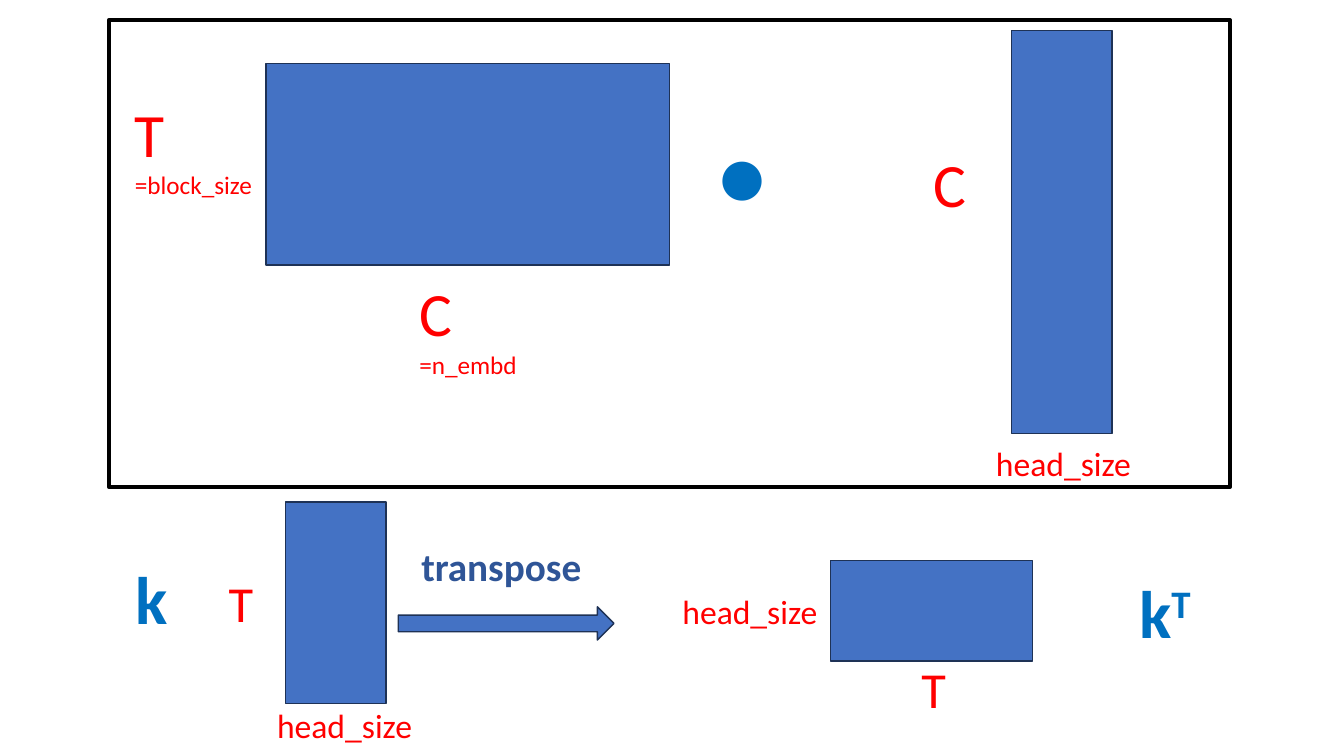
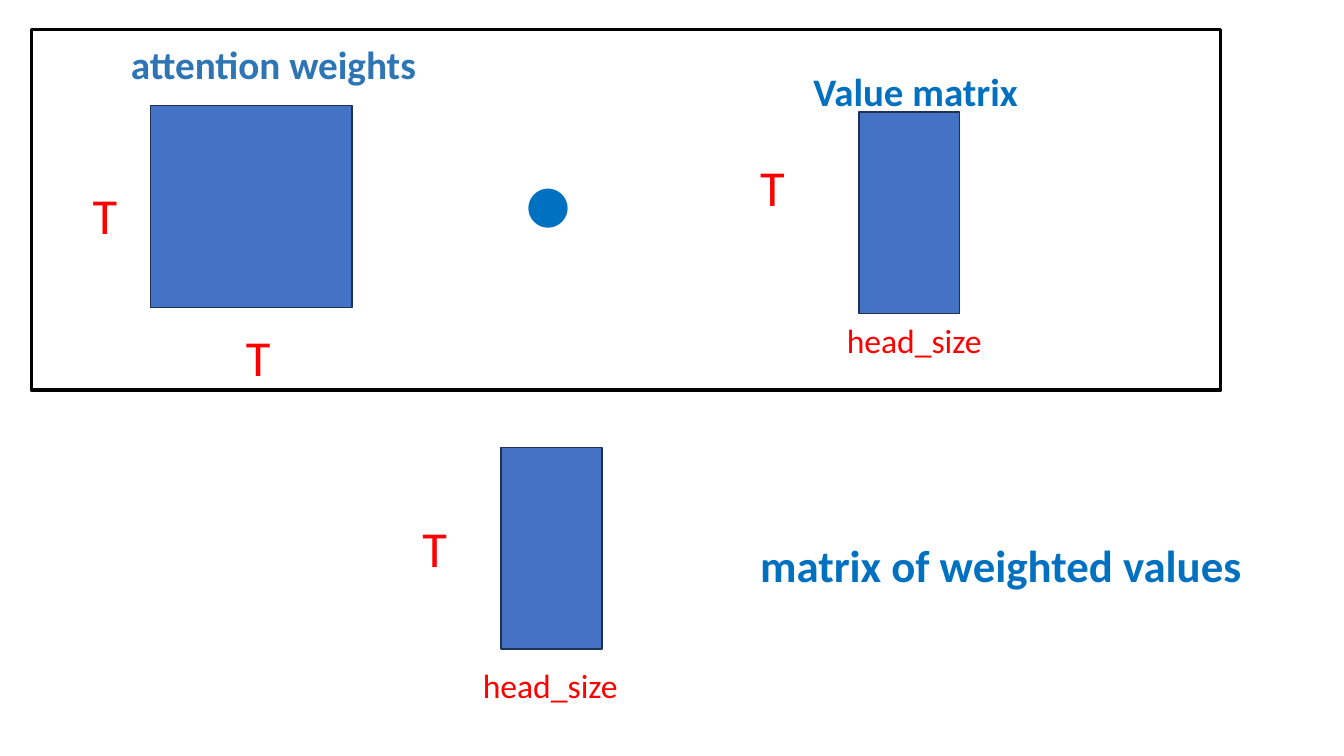
"""Draw the matrix shapes behind attention keys and weighted values."""
from pptx import Presentation
from pptx.dml.color import RGBColor
from pptx.enum import shapes, text
from pptx.util import Inches, Pt

BLUE = RGBColor(0x44, 0x72, 0xC4)
EDGE = RGBColor(0x1E, 0x32, 0x56)
RED = RGBColor(0xFF, 0x00, 0x00)
NAME_BLUE = RGBColor(0x00, 0x70, 0xC0)
TRANSPOSE_BLUE = RGBColor(0x2F, 0x55, 0x97)
WEIGHTS_BLUE = RGBColor(0x2E, 0x75, 0xB6)
BLACK = RGBColor(0x00, 0x00, 0x00)
FONT = "Calibri"
HUGE, LARGE, MEDIUM, SMALL = 44, 36, 24, 18


class Deck:
    """Hold the shared style and the current slide."""

    def __init__(self):
        self.presentation = Presentation()
        self.presentation.slide_width = Inches(13.33)
        self.presentation.slide_height = Inches(7.5)
        self.slide = None

    def new_slide(self):
        """Start a blank slide."""
        layout = self.presentation.slide_layouts[6]
        self.slide = self.presentation.slides.add_slide(layout)

    def outline(self, kind, box, line_color, line_width):
        """Add a preset shape with a line and no shadow."""
        shape = self.slide.shapes.add_shape(kind, *map(Inches, box))
        shape.shadow.inherit = False
        shape.line.color.rgb = line_color
        shape.line.width = Pt(line_width)
        return shape

    def block(self, *box, kind=shapes.MSO_SHAPE.RECTANGLE):
        """Add a filled matrix or arrow."""
        shape = self.outline(kind, box, EDGE, 1)
        shape.fill.solid()
        shape.fill.fore_color.rgb = BLUE

    def frame(self, *box, line_width):
        """Add the unfilled frame around a product."""
        shape = self.outline(shapes.MSO_SHAPE.RECTANGLE, box, BLACK, line_width)
        shape.fill.background()

    def label(self, box, *lines, color=RED, bold=False, wrap=True):
        """Add a text box from (text, size) lines and return its last paragraph."""
        frame = self.slide.shapes.add_textbox(*map(Inches, box)).text_frame
        frame.word_wrap = wrap
        frame.auto_size = text.MSO_AUTO_SIZE.SHAPE_TO_FIT_TEXT
        for index, (words, size) in enumerate(lines):
            paragraph = frame.add_paragraph() if index else frame.paragraphs[0]
            paragraph.add_run().text = words
            font = paragraph.font
            font.name, font.size, font.bold = FONT, Pt(size), bold
            font.color.rgb = color
        return paragraph

    def name(self, box, words, size, color=NAME_BLUE):
        """Add a bold matrix or step name."""
        return self.label(box, (words, size), color=color, bold=True)

    def raise_run(self, run):
        """Set a run as superscript."""
        run._r.get_or_add_rPr().set("baseline", "30000")

    def head_size(self, left, top, width):
        """Label a side as head_size."""
        self.label((left, top, width, 0.5), ("head_size", MEDIUM))

    def time(self, left, top, width=0.88):
        """Label a side as T."""
        self.label((left, top, width, 0.71), ("T", LARGE))

    def dot(self, left, top):
        """Add the product dot."""
        self.label((left, top, 0.66, 1.21), ("•", 66),
                   color=NAME_BLUE, bold=True, wrap=False)


def draw_key(deck):
    """Draw the key projection and its transpose."""
    deck.new_slide()
    deck.block(2.64, 0.63, 4, 2)
    deck.label((1.24, 0.9, 3.33, 1.14), ("T", HUGE), ("=block_size", SMALL))
    deck.label((4.06, 2.68, 1.32, 1.14), ("C", HUGE), ("=n_embd", SMALL))
    deck.dot(7.04, 1.09)
    deck.block(10.03, 0.3, 1, 4)
    deck.label((9.16, 1.4, 1.75, 0.84), ("C", HUGE))
    deck.head_size(9.78, 4.34, 1.95)
    deck.frame(1.08, 0.2, 11.12, 4.63, line_width=3)

    deck.name((1.25, 5.48, 0.91, 0.91), "k", 48)
    deck.block(2.83, 4.98, 1, 2)
    deck.time(2.17, 5.63, 1.2)
    deck.head_size(2.65, 6.94, 3.33)
    deck.name((4.08, 5.33, 2.29, 0.57), "transpose", 28, TRANSPOSE_BLUE)
    deck.block(3.95, 6.02, 2.14, 0.33, kind=shapes.MSO_SHAPE.RIGHT_ARROW)
    deck.block(8.24, 5.56, 2, 1)
    deck.head_size(6.67, 5.81, 1.72)
    deck.time(9.04, 6.48, 1.2)
    exponent = deck.name((11.2, 5.62, 0.91, 0.91), "k", 48).add_run()
    exponent.text = "T"
    deck.raise_run(exponent)


def draw_weighted_values(deck):
    """Draw attention weights times values and the result."""
    deck.new_slide()
    deck.name((1.2, 0.35, 3.2, 0.57), "attention weights", 28, WEIGHTS_BLUE)
    deck.block(1.49, 1.05, 2, 2)
    deck.time(0.82, 1.78)
    deck.time(2.34, 3.19)
    deck.dot(5.11, 1.36)
    value = deck.name((7.97, 0.54, 4.7, 0.64), "Value matrix", 48)
    deck.raise_run(value.runs[0])
    deck.block(8.52, 1.11, 1, 2)
    deck.time(7.44, 1.5)
    deck.head_size(8.3, 3.12, 1.62)
    deck.frame(0.31, 0.29, 11.8, 3.58, line_width=2.25)

    deck.block(4.97, 4.44, 1, 2)
    deck.time(4.09, 5.08)
    deck.head_size(4.69, 6.55, 1.62)
    deck.name((7.44, 5.29, 5.29, 0.64), "matrix of weighted values", 32)


def main():
    """Build and save both slides."""
    deck = Deck()
    draw_key(deck)
    draw_weighted_values(deck)
    deck.presentation.save("out.pptx")


if __name__ == "__main__":
    main()
